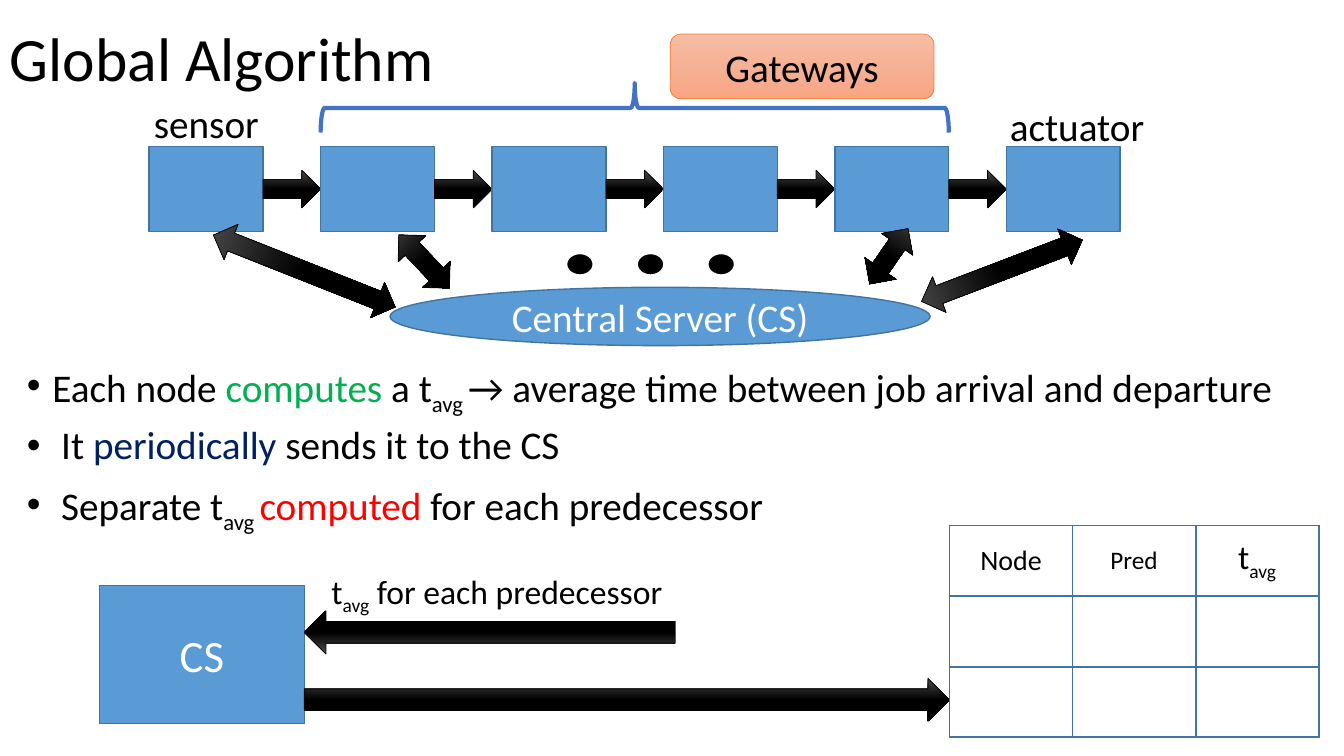
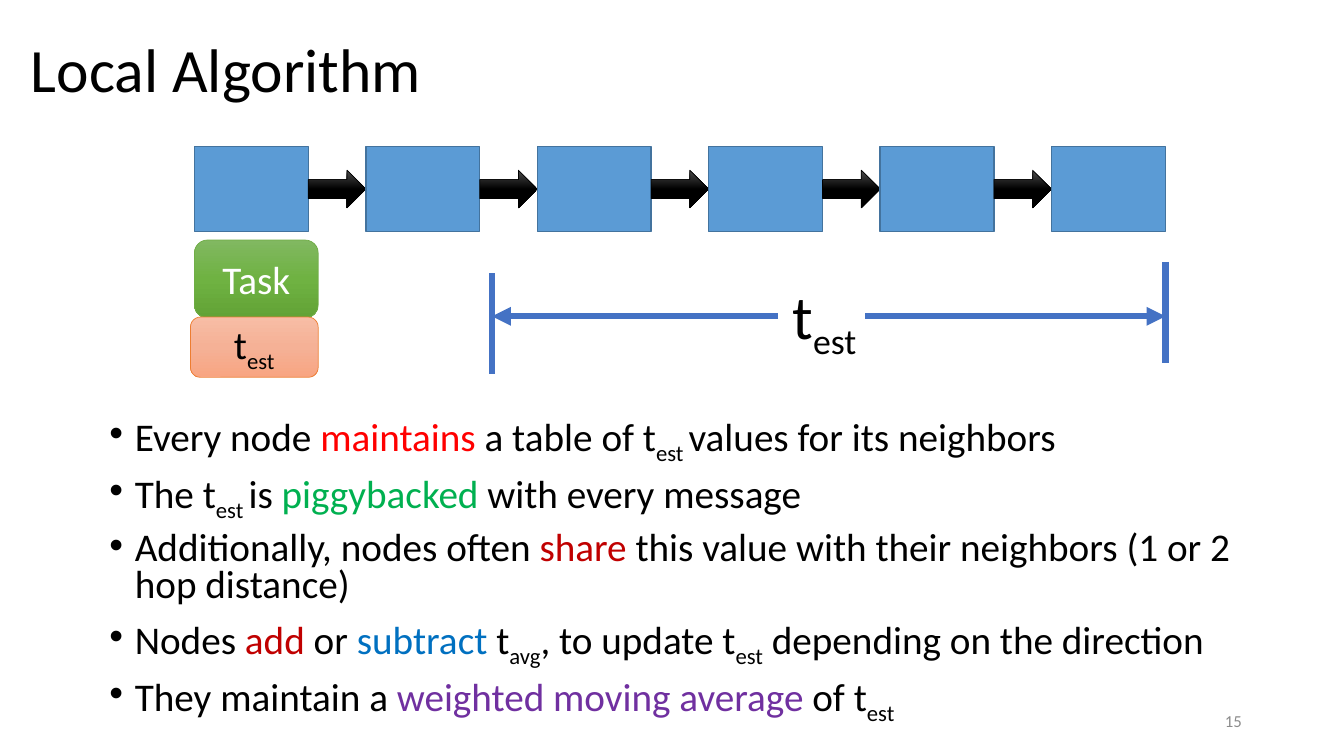
from copy import deepcopy

from pptx import Presentation
from pptx.dml.color import RGBColor
from pptx.enum.shapes import MSO_CONNECTOR, MSO_SHAPE
from pptx.enum.text import MSO_ANCHOR, PP_ALIGN
from pptx.oxml.ns import qn
from pptx.util import Cm, Pt
from lxml.etree import SubElement

BLACK = RGBColor(0x00, 0x00, 0x00)
WHITE = RGBColor(0xFF, 0xFF, 0xFF)
GRAY = RGBColor(0x8C, 0x8C, 0x8C)
BLUE = RGBColor(0x5B, 0x9B, 0xD5)
EDGE = RGBColor(0x43, 0x73, 0x9E)
ROYAL = RGBColor(0x44, 0x72, 0xC4)
ORANGE = RGBColor(0xED, 0x7D, 0x31)
LEAF = RGBColor(0x70, 0xAD, 0x47)
GREEN = RGBColor(0x00, 0xB0, 0x50)
NAVY = RGBColor(0x00, 0x20, 0x60)
RED = RGBColor(0xFF, 0x00, 0x00)
DARK_RED = RGBColor(0xC0, 0x00, 0x00)
SKY = RGBColor(0x00, 0x70, 0xC0)
PURPLE = RGBColor(0x70, 0x30, 0xA0)

COAL = (RGBColor(0x4B, 0x4B, 0x4B), BLACK, BLACK)
PEACH = (RGBColor(0xF7, 0xBD, 0xA5), RGBColor(0xF5, 0xB1, 0x96), RGBColor(0xF8, 0xA5, 0x82))
GRASS = (RGBColor(0x81, 0xB8, 0x61), RGBColor(0x6F, 0xB2, 0x42), RGBColor(0x62, 0xA3, 0x36))

SUB = "subscript"
T_AVG = ["t", ("avg", SUB)]
T_EST = ["t", ("est", SUB)]

NODE_W, NODE_H, PITCH, NODES = 2.87, 2.13, 4.32, 6
CHAIN_Y = 3.7


def apply(item, **fmt):
    for name, value in fmt.items():
        setattr(item, name, value)


def write(para, runs, size, color=BLACK, **fmt):
    """Fill a paragraph; a run is a string or a (string, colour or SUB) pair."""
    apply(para, **fmt)
    for part in runs:
        text, mark = part if isinstance(part, tuple) else (part, color)
        run = para.add_run()
        run.text = text
        apply(run.font, name="Calibri", size=Pt(size))
        run.font.color.rgb = color if mark == SUB else mark
        if mark == SUB:
            run._r.get_or_add_rPr().set("baseline", "-25000")


def label(slide, box, runs, size, color=BLACK, wrap=False, anchor=MSO_ANCHOR.TOP, **fmt):
    frame = slide.shapes.add_textbox(*map(Cm, box)).text_frame
    apply(frame, word_wrap=wrap, vertical_anchor=anchor)
    write(frame.paragraphs[0], runs, size, color, **fmt)


def title(slide, left, top, text):
    label(slide, (left, top, 29.21, 3.68), [text], 44, wrap=True,
          anchor=MSO_ANCHOR.MIDDLE, line_spacing=0.9)


def bullets(slide, box, lines, spacing):
    frame = slide.shapes.add_textbox(*map(Cm, box)).text_frame
    frame.word_wrap = True
    for i, runs in enumerate(lines):
        para = frame.add_paragraph() if i else frame.paragraphs[0]
        props = para._p.get_or_add_pPr()
        props.set("marL", str(Cm(0.64)))
        props.set("indent", str(-Cm(0.64)))
        SubElement(props, qn("a:buFont")).set("typeface", "Arial")
        SubElement(props, qn("a:buChar")).set("char", "•")
        write(para, runs, 28, line_spacing=spacing, space_before=Pt(10 if i else 0))


def shade(shape, colors):
    """Fill from top to bottom with three colours."""
    shape.fill.gradient()
    shape.fill.gradient_angle = 270
    stops = shape._element.spPr.find(".//" + qn("a:gsLst"))
    stops.insert(1, deepcopy(stops[0]))
    for i, (stop, color) in enumerate(zip(shape.fill.gradient_stops, colors)):
        stop.color.rgb = color
        stop.position = i / 2


def draw(slide, kind, box, fill=BLUE, edge=EDGE, width=1, turn=0, runs=(), size=28, color=WHITE):
    """Add a shape; fill is a colour, three colours to shade, or None."""
    shape = slide.shapes.add_shape(kind, *map(Cm, box))
    shape.rotation = turn
    shape.shadow.inherit = False
    if fill is None:
        shape.fill.background()
    elif isinstance(fill, RGBColor):
        shape.fill.solid()
        shape.fill.fore_color.rgb = fill
    else:
        shade(shape, fill)
    shape.line.color.rgb = edge
    shape.line.width = Pt(width)
    if runs:
        shape.text_frame.vertical_anchor = MSO_ANCHOR.MIDDLE
        write(shape.text_frame.paragraphs[0], runs, size, color, alignment=PP_ALIGN.CENTER)


def arrow(slide, box, turn=0, kind=MSO_SHAPE.RIGHT_ARROW):
    draw(slide, kind, box, COAL, BLACK, 0.5, turn)


def line(slide, start, end, tip=False):
    link = slide.shapes.add_connector(MSO_CONNECTOR.STRAIGHT, *map(Cm, start + end))
    link.line.color.rgb = ROYAL
    link.line.width = Pt(4.5)
    props = link._element.spPr
    if tip:
        SubElement(props.find(qn("a:ln")), qn("a:tailEnd")).set("type", "triangle")
    SubElement(props, qn("a:effectLst"))


def chain(slide, left, top):
    """Draw the row of nodes, each with an arrow to the next."""
    for i in range(NODES):
        x = left + i * PITCH
        draw(slide, MSO_SHAPE.RECTANGLE, (x, top, NODE_W, NODE_H))
        if i < NODES - 1:
            arrow(slide, (x + NODE_W, top + 0.59, PITCH - NODE_W, 0.95))


def gateways(slide, left, top):
    """Draw the brace over the inner nodes of a chain, and its label."""
    span, depth = 3 * PITCH + NODE_W, 1.24
    mid_x, mid_y = left + PITCH + span / 2, top - 0.98
    draw(slide, MSO_SHAPE.LEFT_BRACE, (mid_x - depth / 2, mid_y - span / 2, depth, span),
         None, ROYAL, 3, 90)
    draw(slide, MSO_SHAPE.ROUNDED_RECTANGLE, (left + 13.13, top - 2.84, 6.65, 1.63),
         PEACH, ORANGE, 0.5, runs=["Gateways"], color=BLACK)


def server(slide, left, top):
    """Draw the central server with its links up to the chain."""
    draw(slide, MSO_SHAPE.OVAL, (left, top, 13.61, 1.47), runs=["Central Server (CS)"])
    links = [(-2.16, -0.41, 4.93, 291.6), (0.86, -0.65, 1.85, 316.6),
             (12.57, -0.78, 1.7, 34.7), (15.42, -0.42, 4.34, 249.1)]
    for x, y, length, turn in links:
        arrow(slide, (left + x - 0.48, top + y - length / 2, 0.96, length), turn,
              MSO_SHAPE.UP_DOWN_ARROW)
    for i in range(3):
        draw(slide, MSO_SHAPE.OVAL, (left + 4.44 + i * 1.78, top - 0.86, 0.69, 0.56),
             BLACK, WHITE, 1.5)


def grid(slide, left, top):
    """Draw the table of averages that the server keeps."""
    cols, rows, wide, high = 3, 3, 3.1, 1.78
    table = slide.shapes.add_table(rows, cols, Cm(left), Cm(top),
                                   Cm(cols * wide), Cm(rows * high)).table
    apply(table, first_row=False, horz_banding=False)
    for cell in table.iter_cells():
        cell.vertical_anchor = MSO_ANCHOR.MIDDLE
        props = cell._tc.get_or_add_tcPr()
        for side in ("a:lnL", "a:lnR", "a:lnT", "a:lnB"):
            edge = SubElement(props, qn(side), w=str(Pt(1.5)))
            paint = SubElement(edge, qn("a:solidFill"))
            SubElement(paint, qn("a:srgbClr"), val=str(EDGE))
        cell.fill.background()
    heads = [(["Node"], 20), (["Pred"], 18), (T_AVG, 24)]
    for i, (runs, size) in enumerate(heads):
        write(table.cell(0, i).text_frame.paragraphs[0], runs, size, alignment=PP_ALIGN.CENTER)


def exchange(slide, left, top):
    """Draw the server box, its two messages and the table."""
    wide, reach = 5.16, 16.26
    draw(slide, MSO_SHAPE.RECTANGLE, (left, top, wide, 3.48), runs=["CS"], size=32)
    arrow(slide, (left + wide, top + 0.63, 9.35, 1.09), 180)
    label(slide, (left + 5.59, top - 0.51, 9.02, 1.27), T_AVG + [" for each predecessor"], 24)
    arrow(slide, (left + wide, top + 2.33, reach, 1.09))
    grid(slide, left + wide + reach, top - 1.52)


def measure(slide, left, top):
    """Draw the span of the estimate between two end marks."""
    right, mid = left + 16.97, top + 1.37
    line(slide, (left, top + 0.28), (left, top + 2.82))
    line(slide, (right, top), (right, top + 2.54))
    line(slide, (left + 7.21, mid), (left, mid), tip=True)
    line(slide, (left + 9.4, mid), (right, mid), tip=True)
    label(slide, (left + 7.32, top + 0.28, 2.29, 2.13), T_EST, 44)


def task(slide, left, top):
    draw(slide, MSO_SHAPE.ROUNDED_RECTANGLE, (left + 0.1, top, 3.12, 1.96),
         GRASS, LEAF, 0.5, runs=["Task"])
    draw(slide, MSO_SHAPE.ROUNDED_RECTANGLE, (left, top + 1.94, 3.22, 1.52),
         PEACH, ORANGE, 0.5, runs=T_EST, color=BLACK)


def global_slide(slide):
    left = 3.76
    title(slide, 0, -0.3, "Global Algorithm")
    bullets(slide, (0.43, 9.04, 32.94, 4.22), [
        ["Each node ", ("computes", GREEN), " a t", ("avg ", SUB),
         "→ average time between job arrival and departure"],
        [" It ", ("periodically", NAVY), " sends it to the CS"],
        [" Separate t", ("avg ", SUB), ("computed", RED), " for each predecessor"],
    ], 0.9)
    chain(slide, left, CHAIN_Y)
    label(slide, (3.63, 2.39, 3.2, 1.45), ["sensor"], 28)
    label(slide, (25.2, 2.46, 3.94, 1.45), ["actuator"], 28)
    gateways(slide, left, CHAIN_Y)
    server(slide, 9.83, 7.24)
    exchange(slide, 2.51, 14.76)


def local_slide(slide):
    title(slide, 0.53, 0, "Local Algorithm")
    bullets(slide, (2.51, 10.39, 29.21, 7.67), [
        ["Every node ", ("maintains", RED), " a table of t", ("est ", SUB),
         "values for its neighbors"],
        ["The t", ("est ", SUB), "is ", ("piggybacked", GREEN), " with every message"],
        ["Additionally, nodes often ", ("share", DARK_RED),
         " this value with their neighbors (1 or 2 hop distance)"],
        ["Nodes ", ("add", DARK_RED), " or ", ("subtract ", SKY), *T_AVG, ", to update ",
         *T_EST, " depending on the direction"],
        ["They maintain a ", ("weighted moving average ", PURPLE), "of ", *T_EST],
    ], 0.8)
    label(slide, (23.93, 17.65, 7.62, 1.02), ["15"], 12, GRAY, True, MSO_ANCHOR.MIDDLE,
          alignment=PP_ALIGN.RIGHT)
    chain(slide, 4.9, CHAIN_Y)
    measure(slide, 12.4, 6.6)
    task(slide, 4.8, 6.05)


def main():
    deck = Presentation()
    apply(deck, slide_width=Cm(33.87), slide_height=Cm(19.05))
    for build in (global_slide, local_slide):
        build(deck.slides.add_slide(deck.slide_layouts[6]))
    deck.save("out.pptx")


if __name__ == "__main__":
    main()
